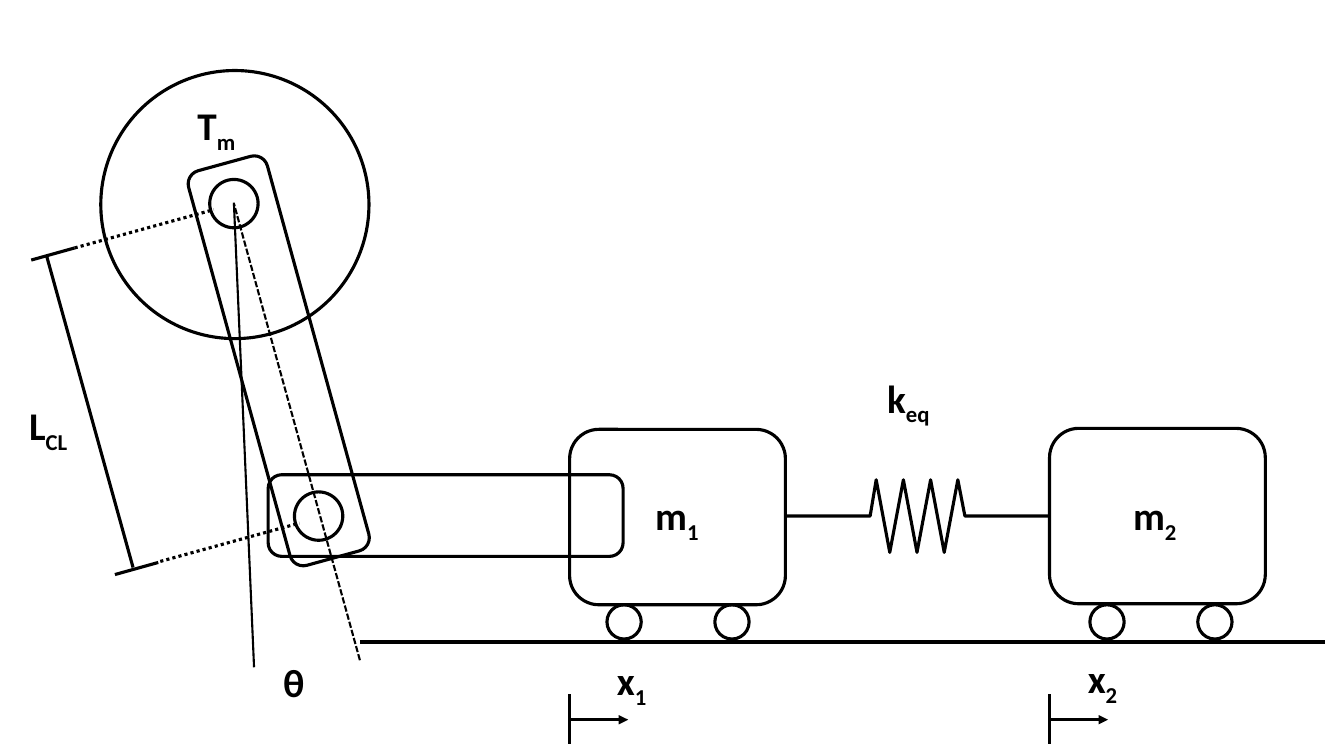
from dataclasses import dataclass

from lxml import etree
from pptx import Presentation
from pptx.dml.color import RGBColor
from pptx.enum.dml import MSO_LINE
from pptx.enum.shapes import MSO_CONNECTOR, MSO_SHAPE
from pptx.enum.text import MSO_AUTO_SIZE
from pptx.oxml.ns import qn
from pptx.util import Inches, Pt

ELLIPSE, ROUNDED = MSO_SHAPE.OVAL, MSO_SHAPE.ROUNDED_RECTANGLE
STRAIGHT = MSO_CONNECTOR.STRAIGHT
DOTTED, DASHED = MSO_LINE.ROUND_DOT, MSO_LINE.SQUARE_DOT
FIT_TEXT = MSO_AUTO_SIZE.SHAPE_TO_FIT_TEXT


@dataclass(frozen=True)
class Theme:
    ink: RGBColor = RGBColor(0, 0, 0)
    font: str = "Calibri"
    label_size: float = 28
    outline: float = 2.25
    thin: float = 1.5


@dataclass(frozen=True)
class Symbol:
    left: float
    top: float
    width: float
    base: str
    subscript: str = ""


@dataclass(frozen=True)
class Stroke:
    start: tuple[float, float]
    end: tuple[float, float]
    weight: float = Theme.outline
    dash: MSO_LINE | None = None
    arrow: bool = False


@dataclass(frozen=True)
class Cart:
    number: str
    left: float
    top: float
    wheel_inset: float
    mass_left: float
    position_left: float
    position_top: float


THEME = Theme()
CART_WIDTH, CART_HEIGHT = 2.14, 1.74
WHEEL, WHEEL_GAP, WHEEL_TOP = 0.34, 1.07, 6
PIN = 0.48
AXIS_Y = 5.12

prs = Presentation()
prs.slide_width, prs.slide_height = Inches(13.33), Inches(7.5)
slide = prs.slides.add_slide(prs.slide_layouts[6])


def style_outline(shape) -> None:
    shape.shadow.inherit = False
    shape.fill.background()
    shape.line.color.rgb = THEME.ink
    shape.line.width = Pt(THEME.outline)


def draw_body(kind: MSO_SHAPE, left: float, top: float, width: float,
              height: float, angle: float = 0) -> None:
    body = slide.shapes.add_shape(kind, Inches(left), Inches(top),
                                  Inches(width), Inches(height))
    body.rotation = angle
    style_outline(body)


def draw_circle(left: float, top: float, diameter: float) -> None:
    draw_body(ELLIPSE, left, top, diameter, diameter)


def draw_stroke(stroke: Stroke) -> None:
    line = slide.shapes.add_connector(
        STRAIGHT, *(Inches(v) for v in stroke.start + stroke.end))
    line.line.color.rgb = THEME.ink
    line.line.width = Pt(stroke.weight)
    if stroke.dash is not None:
        line.line.dash_style = stroke.dash
    if stroke.arrow:
        etree.SubElement(line.line._get_or_add_ln(), qn("a:tailEnd"),
                         type="triangle")
    etree.SubElement(line._element.spPr, qn("a:effectLst"))


def draw_symbol(symbol: Symbol) -> None:
    box = slide.shapes.add_textbox(Inches(symbol.left), Inches(symbol.top),
                                   Inches(symbol.width), Inches(0.57))
    box.text_frame.word_wrap = False
    box.text_frame.auto_size = FIT_TEXT
    paragraph = box.text_frame.paragraphs[0]
    for text, baseline in ((symbol.base, 0), (symbol.subscript, -25000)):
        if not text:
            continue
        run = paragraph.add_run()
        run.text = text
        run.font.name, run.font.size = THEME.font, Pt(THEME.label_size)
        run.font.bold = True
        run.font.color.rgb = THEME.ink
        if baseline:
            run.font._element.set("baseline", str(baseline))


def draw_cart(cart: Cart) -> None:
    draw_body(ROUNDED, cart.left, cart.top, CART_WIDTH, CART_HEIGHT)
    for wheel in range(2):
        draw_circle(cart.left + cart.wheel_inset + wheel * WHEEL_GAP,
                    WHEEL_TOP, WHEEL)
    draw_symbol(Symbol(cart.mass_left, 4.83, 0.65, "m", cart.number))
    # Displacement marker under the cart
    draw_stroke(Stroke((cart.left, 6.89), (cart.left, 7.38)))
    draw_stroke(Stroke((cart.left, 7.14), (cart.left + 0.58, 7.14), arrow=True))
    draw_symbol(Symbol(cart.position_left, cart.position_top, 0.52,
                       "x", cart.number))


def draw_spring(left: float, right: float) -> None:
    coil_left, first_peak, half_turn = 8.63, 8.69, 0.135
    turns = [(first_peak + i * half_turn, 5.48 if i % 2 else 4.76)
             for i in range(7)]
    points = [(coil_left, AXIS_Y), *turns, (9.57, AXIS_Y), (right, AXIS_Y)]
    builder = slide.shapes.build_freeform(Inches(left), Inches(AXIS_Y))
    builder.add_line_segments([(Inches(x), Inches(y)) for x, y in points],
                              close=False)
    style_outline(builder.convert_to_shape())


# Motor disc, pins, connecting rod and crank
draw_circle(1, 0.7, 2.66)
for pin_left, pin_top in ((2.08, 1.78), (2.92, 4.88)):
    draw_circle(pin_left, pin_top, PIN)
draw_body(ROUNDED, 2.66, 4.71, 3.52, 0.81)
draw_body(ROUNDED, 2.36, 1.55, 0.81, 4.06, angle=344.6)

# Carts on the ground, joined by the spring
carts = (
    Cart("1", 5.65, 4.26, 0.37, 6.4, 6.02, 6.46),
    Cart("2", 10.41, 4.25, 0.4, 11.14, 10.69, 6.44),
)
for cart in carts:
    draw_cart(cart)
draw_stroke(Stroke((3.57, 6.37), (13.14, 6.37)))
draw_spring(carts[0].left + CART_WIDTH, carts[1].left)

# Crank length dimension and crank angle
for stroke in (
    Stroke((0.31, 2.58), (0.74, 2.46)),
    Stroke((1.14, 5.7), (1.57, 5.58)),
    Stroke((1.32, 5.63), (0.46, 2.53)),
    Stroke((0.74, 2.46), (2.12, 2.08), dash=DOTTED),
    Stroke((1.59, 5.57), (2.97, 5.19), dash=DOTTED),
    Stroke((2.52, 6.62), (2.32, 2.01), THEME.thin),
    Stroke((3.57, 6.55), (2.32, 2.02), THEME.thin, DASHED),
):
    draw_stroke(stroke)

# Symbols
for symbol in (
    Symbol(8.7, 3.66, 0.65, "k", "eq"),
    Symbol(0.19, 3.93, 0.61, "L", "CL"),
    Symbol(2.71, 6.48, 0.42, "θ"),
    Symbol(1.86, 0.96, 0.59, "T", "m"),
):
    draw_symbol(symbol)

prs.save("out.pptx")
